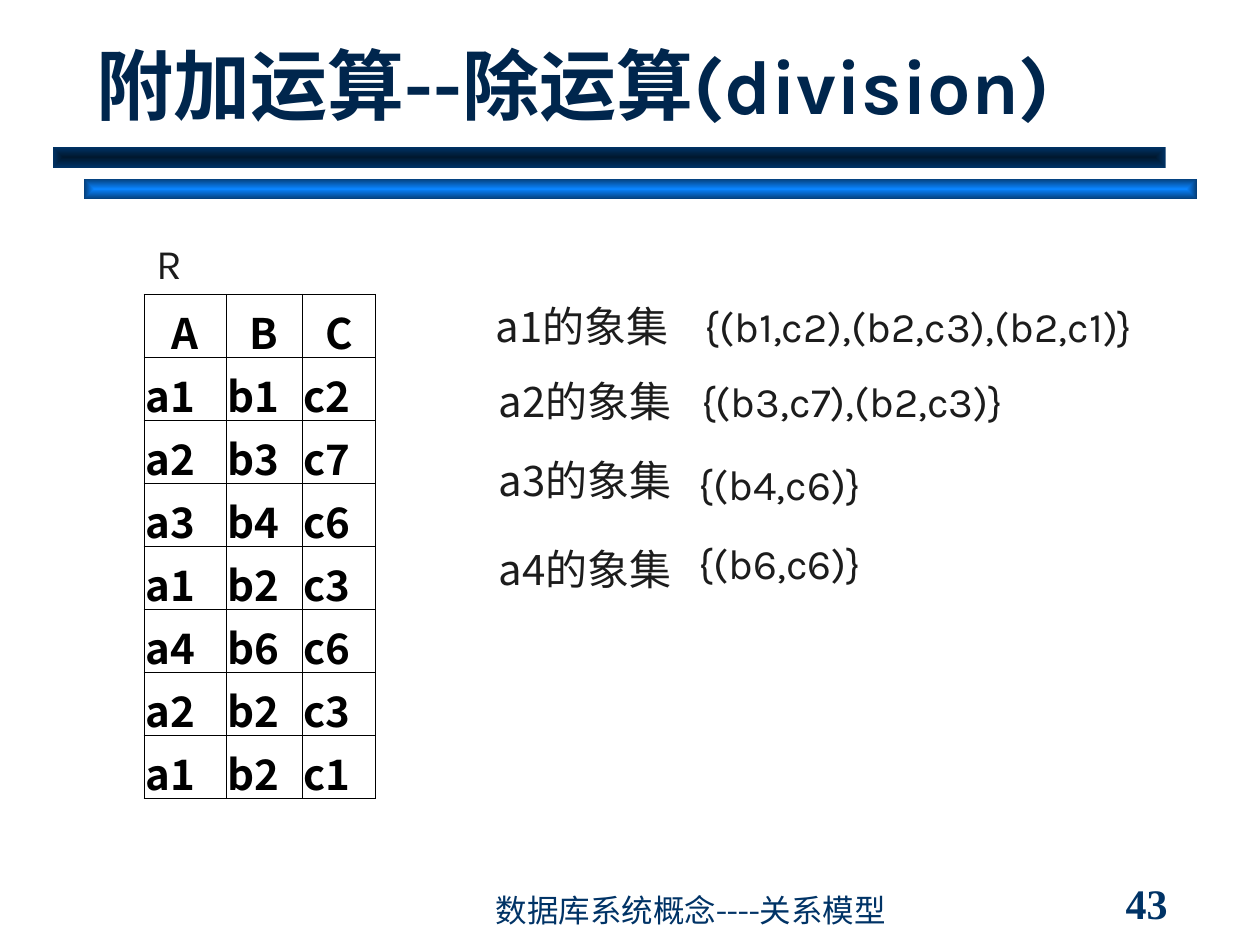
from lxml import etree
from pptx import Presentation
from pptx.dml.color import RGBColor
from pptx.enum.shapes import MSO_SHAPE
from pptx.enum.text import MSO_ANCHOR, MSO_AUTO_SIZE, PP_ALIGN
from pptx.oxml.ns import qn
from pptx.util import Cm, Pt

COLORS = {"title": "00264D", "footer": "003366", "body": "1C1C1C", "table": "000000"}
LATIN, CJK, CJK_LABEL = "Karla", "Noto Sans CJK SC", "Noto Sans CJK JP"

# Content; lengths in centimetres
TITLE = "附加运算--除运算(division)"
FOOTER = "数据库系统概念----关系模型"
PAGE_NUMBER = "43"
BARS = [  # left, top, centre colour, edge colour
    (1.69, 3.6, "0A84FF", "053D76"),
    (1.06, 2.96, "00182F", "003366"),
]
RELATION = [
    "A B C", "a1 b1 c2", "a2 b3 c7", "a3 b4 c6",
    "a1 b2 c3", "a4 b6 c6", "a2 b2 c3", "a1 b2 c1",
]
COLUMN_WIDTHS = (1.65, 1.54, 1.48)
ROW_HEIGHT = 1.03
TABLE_LEFT, TABLE_TOP = 2.9, 5.93
LABEL_WIDTH, LINE_HEIGHT = 4.22, 1.28
IMAGE_SETS = [  # label, its left and top, set, its left, top and width
    ("a1的象集", 9.74, 5.93, "{(b1,c2),(b2,c3),(b2,c1)}", 13.96, 5.93, 9.5),
    ("a2的象集", 9.8, 7.44, "{(b3,c7),(b2,c3)}", 13.89, 7.44, 6.63),
    ("a3的象集", 9.8, 9.04, "{(b4,c6)}", 13.84, 9.11, 3.78),
    ("a4的象集", 9.8, 10.84, "{(b6,c6)}", 13.84, 10.72, 3.78),
]


def write(frame, text, size=24, font=LATIN, east_asian=CJK, color="body",
          bold=False, align=PP_ALIGN.LEFT):
    para = frame.paragraphs[0]
    para.alignment = align
    span = para.add_run()
    span.text = text
    span.font.size, span.font.bold, span.font.name = Pt(size), bold, font
    span.font.color.rgb = RGBColor.from_string(COLORS[color])
    etree.SubElement(span.font._element, qn("a:ea"), typeface=east_asian)


def place(box, left, top, width, height):
    box.left, box.top, box.width, box.height = map(Cm, (left, top, width, height))


def add_text(page, text, area, anchor=MSO_ANCHOR.TOP, wrap=False, grow=True, **style):
    frame = page.shapes.add_textbox(*map(Cm, area)).text_frame
    frame.word_wrap = wrap
    frame.vertical_anchor = anchor
    frame.auto_size = MSO_AUTO_SIZE.SHAPE_TO_FIT_TEXT if grow else MSO_AUTO_SIZE.NONE
    write(frame, text, **style)


def add_bar(page, left, top, centre, edge):
    bar = page.shapes.add_shape(MSO_SHAPE.RECTANGLE, *map(Cm, (left, top, 22.44, 0.42)))
    bar.shadow.inherit = False
    bar.line.fill.background()
    bar.fill.gradient()
    for stop, position, color in zip(bar.fill.gradient_stops, (0, 1), (centre, edge)):
        stop.position = position
        stop.color.rgb = RGBColor.from_string(color)
    # Rectangular gradient running outwards from the centre
    gradient = bar._element.spPr.find(qn("a:gradFill"))
    gradient.remove(gradient.find(qn("a:lin")))
    shade = etree.SubElement(gradient, qn("a:path"), path="rect")
    etree.SubElement(shade, qn("a:fillToRect"), l="50000", t="50000", r="50000", b="50000")


def add_borders(cell):
    properties = cell._tc.get_or_add_tcPr()
    for side in ("lnL", "lnR", "lnT", "lnB"):
        line = etree.SubElement(properties, qn(f"a:{side}"), w=str(Pt(0.23)))
        fill = etree.SubElement(line, qn("a:solidFill"))
        etree.SubElement(fill, qn("a:srgbClr"), val=COLORS["table"])


def add_relation(page):
    area = (TABLE_LEFT, TABLE_TOP, sum(COLUMN_WIDTHS), ROW_HEIGHT * len(RELATION))
    table = page.shapes.add_table(len(RELATION), len(COLUMN_WIDTHS), *map(Cm, area)).table
    table.first_row = table.horz_banding = False
    for column, width in zip(table.columns, COLUMN_WIDTHS):
        column.width = Cm(width)
    for row_index, values in enumerate(RELATION):
        table.rows[row_index].height = Cm(ROW_HEIGHT)
        for column_index, value in enumerate(values.split()):
            cell = table.cell(row_index, column_index)
            cell.margin_left = cell.margin_right = Cm(0.03)
            cell.vertical_anchor = MSO_ANCHOR.MIDDLE
            add_borders(cell)
            cell.fill.background()
            write(cell.text_frame, value, font=CJK, color="table", bold=True,
                  align=PP_ALIGN.LEFT if row_index else PP_ALIGN.CENTER)


def main():
    deck = Presentation()
    deck.slide_width, deck.slide_height = Cm(25.4), Cm(19.05)
    page = deck.slides.add_slide(deck.slide_layouts[5])

    # Title and bars
    title = page.shapes.title
    place(title, 1.69, 1.06, 21.59, 1.69)
    title.text_frame.vertical_anchor = MSO_ANCHOR.BOTTOM
    title.text_frame.auto_size = MSO_AUTO_SIZE.NONE
    write(title.text_frame, TITLE, size=44, color="title", bold=True)
    for bar in BARS:
        add_bar(page, *bar)

    # Page number and footer
    add_text(page, PAGE_NUMBER, (22.44, 17.78, 2.75, 0.85), anchor=MSO_ANCHOR.MIDDLE,
             grow=False, font="Times New Roman", color="footer", bold=True)
    add_text(page, FOOTER, (9.74, 17.99, 10.37, 0.85), anchor=MSO_ANCHOR.BOTTOM,
             wrap=True, grow=False, size=18, color="footer")

    # Relation R
    add_text(page, "R", (TABLE_LEFT, 4.66, 1.04, LINE_HEIGHT))
    add_relation(page)

    # Image sets
    for label, left, top, members, set_left, set_top, set_width in IMAGE_SETS:
        add_text(page, label, (left, top, LABEL_WIDTH, LINE_HEIGHT),
                 font=CJK_LABEL, east_asian=CJK_LABEL)
        add_text(page, members, (set_left, set_top, set_width, LINE_HEIGHT))

    deck.save("out.pptx")


if __name__ == "__main__":
    main()
